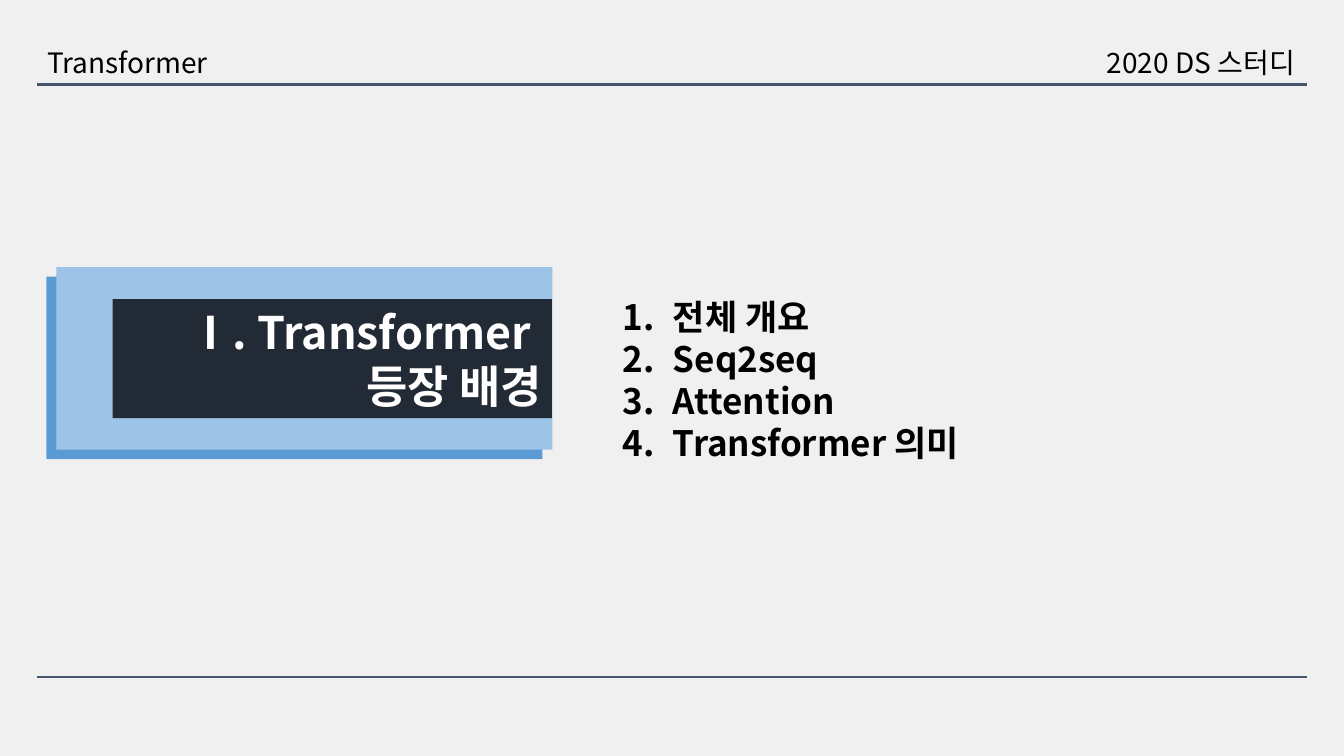
"""Build the section slide on the background of the Transformer."""
import lxml.etree
import pptx
import pptx.dml.color
import pptx.enum.shapes
import pptx.enum.text
import pptx.oxml.ns
import pptx.util
from pptx.util import Cm

FONT = "Noto Sans CJK KR"
ALIGN = pptx.enum.text.PP_ALIGN
ANCHOR = pptx.enum.text.MSO_ANCHOR
TOPICS = ["전체 개요", "Seq2seq", "Attention", "Transformer 의미"]


def set_color(color_format, color):
    """Apply a hex colour to a colour format."""
    color_format.rgb = pptx.dml.color.RGBColor.from_string(color)


def set_fill(shape, color):
    """Give a shape a solid fill."""
    shape.fill.solid()
    set_color(shape.fill.fore_color, color)


def add_child(parent, tag, **attributes):
    """Append a drawing element to a parent element."""
    return lxml.etree.SubElement(parent, pptx.oxml.ns.qn(tag), **attributes)


def format_text(shape, size, color, bold=False, align=ALIGN.LEFT, anchor=ANCHOR.MIDDLE):
    """Format all paragraphs and runs of a shape."""
    frame = shape.text_frame
    frame.word_wrap = True
    frame.auto_size = pptx.enum.text.MSO_AUTO_SIZE.NONE
    frame.vertical_anchor = anchor
    for paragraph in frame.paragraphs:
        paragraph.alignment = align
        for run in paragraph.runs:
            run.font.size = pptx.util.Pt(size)
            run.font.bold = bold
            run.font.name = FONT
            set_color(run.font.color, color)
            add_child(run.font._element, "a:ea", typeface=FONT)


def add_rule(slide, top):
    """Draw a horizontal rule across the slide."""
    rule = slide.shapes.add_connector(
        pptx.enum.shapes.MSO_CONNECTOR.STRAIGHT, Cm(0.94), top, Cm(32.94), top)
    rule.line.width = pptx.util.Pt(1.5)
    set_color(rule.line.color, "44546A")
    add_child(rule._element.spPr, "a:effectLst")


def add_header(slide, text, left, align):
    """Add a header line above the top rule."""
    header = slide.shapes.add_textbox(left, Cm(1.21), Cm(10.92), Cm(0.81))
    header.text_frame.text = text
    header.text_frame.paragraphs[0].line_spacing = 0.9
    format_text(header, 20, "000000", align=align)


def add_panel(slide, left, top, color):
    """Add one of the two offset panels behind the title."""
    panel = slide.shapes.add_shape(
        pptx.enum.shapes.MSO_SHAPE.RECTANGLE, left, top, Cm(12.5), Cm(4.6))
    set_fill(panel, color)
    panel.line.fill.background()
    panel.shadow.inherit = False


def place_title(slide, text):
    """Place the title as a dark bar in front of the panels."""
    title = slide.shapes.title
    title.left, title.top, title.width, title.height = Cm(2.84), Cm(7.54), Cm(11.07), Cm(3)
    title.text_frame.text = text
    set_fill(title, "222A35")
    format_text(title, 32, "FFFFFF", True, ALIGN.RIGHT)
    title.element.getparent().append(title.element)


def add_numbered_list(slide, items):
    """Add the numbered list of topics."""
    box = slide.shapes.add_textbox(Cm(14.17), Cm(7.32), Cm(16.94), Cm(4.52))
    box.text_frame.text = "\n".join(items)
    format_text(box, 25, "000000", True, anchor=ANCHOR.TOP)
    for paragraph in box.text_frame.paragraphs:
        paragraph.level = 1
        properties = paragraph._p.get_or_add_pPr()
        properties.set("marL", str(Cm(2.54)))
        properties.set("indent", str(-Cm(1.27)))
        add_child(properties, "a:buFont", typeface="+mj-lt")
        add_child(properties, "a:buAutoNum", type="arabicPeriod")


def main():
    """Build and save the presentation."""
    presentation = pptx.Presentation()
    presentation.slide_width, presentation.slide_height = Cm(33.87), Cm(19.05)
    slide = presentation.slides.add_slide(presentation.slide_layouts.get_by_name("Title Only"))
    set_fill(slide.background, "F0F0F0")
    for top in (Cm(2.13), Cm(17.07)):
        add_rule(slide, top)
    add_header(slide, "Transformer", Cm(0.94), ALIGN.LEFT)
    add_header(slide, "2020 DS 스터디", Cm(21.97), ALIGN.RIGHT)
    add_panel(slide, Cm(1.17), Cm(6.97), "5B9BD5")
    add_panel(slide, Cm(1.42), Cm(6.73), "9DC3E6")
    place_title(slide, "Ⅰ. Transformer \v등장 배경")
    add_numbered_list(slide, TOPICS)
    presentation.save("out.pptx")


if __name__ == "__main__":
    main()
